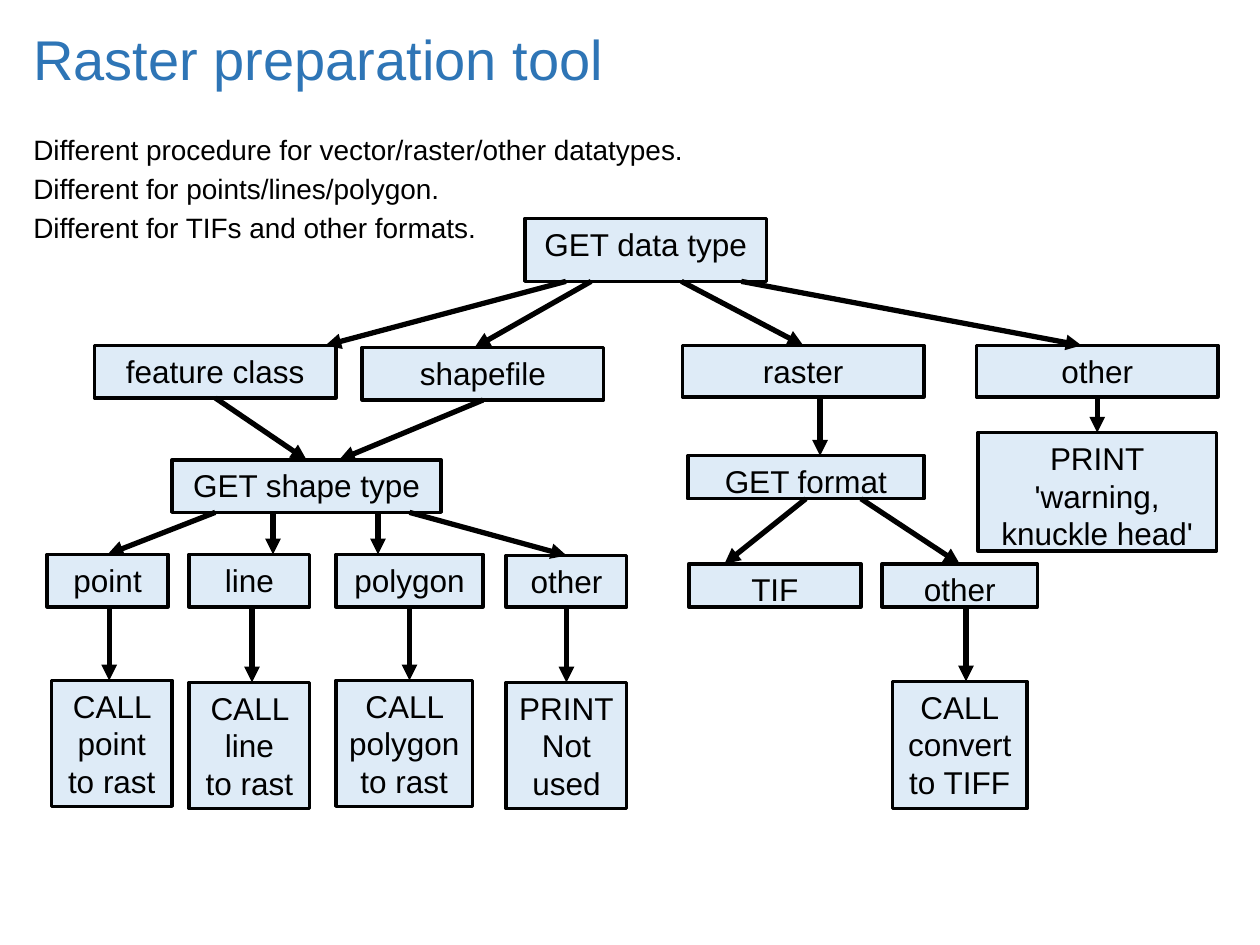
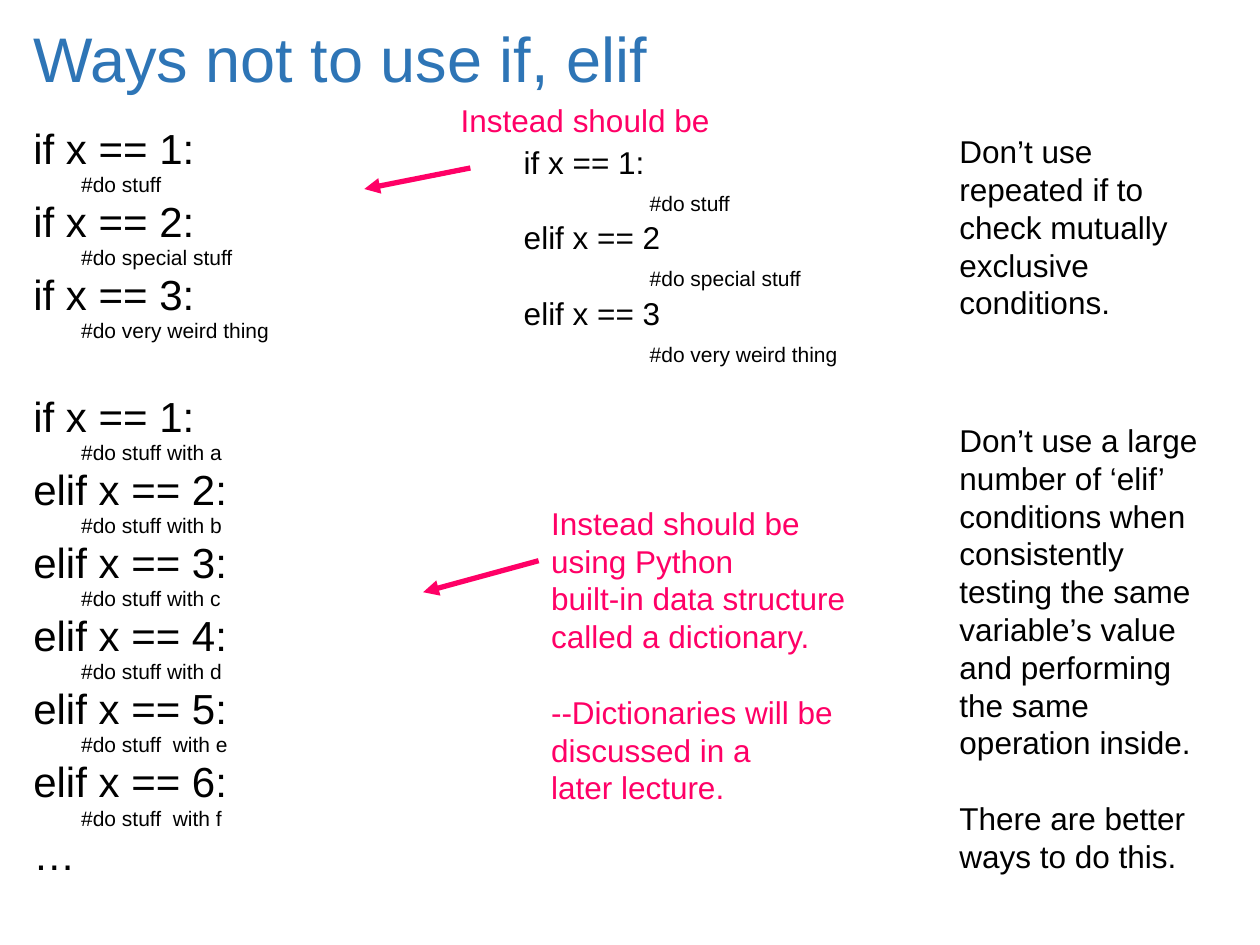
from pptx import Presentation
from pptx.dml.color import RGBColor
from pptx.enum.shapes import MSO_CONNECTOR as LINE, MSO_SHAPE as SHAPE
from pptx.enum.text import MSO_ANCHOR as ANCHOR, PP_ALIGN as ALIGN
from pptx.oxml.ns import qn
from pptx.util import Inches, Pt
from lxml.etree import SubElement

COLORS = {"title": "2E75B6", "ink": "000000", "box": "DEEBF7", "fix": "FF0066"}
FONT = "Arial"
CELL = Inches(1) / 12        # grid of 120 columns by 90 rows
BOTTOM, TOP = 2, 0           # connection sites of a rectangle
BODY = (2, 12, 114, 71)
BODY_GAP = 0.2               # space before a body line, as a share of its size
BLANK_LINE = 21.6            # points, one line of 18 pt text

# name: (text, column, row, columns wide, rows high)
BOXES = {
    "data type": ("GET data type", 50, 20.8, 23, 6),
    "feature class": ("feature class", 9, 32.9, 23, 5),
    "shapefile": ("shapefile", 34.5, 33.1, 23, 5),
    "raster": ("raster", 65, 32.9, 23, 4.9),
    "other type": ("other", 93, 32.9, 23, 4.9),
    "shape type": ("GET shape type", 16.4, 43.8, 25.6, 5),
    "format": ("GET format", 65.5, 43.4, 22.5, 4.1),
    "warning": ("PRINT\n'warning, knuckle head'", 93.15, 41.2, 22.7, 11.3),
    "point": ("point", 4.5, 52.8, 11.5, 5),
    "line": ("line", 18, 52.8, 11.5, 5),
    "polygon": ("polygon", 32, 52.8, 14, 5),
    "other shape": ("other", 48.2, 52.9, 11.5, 4.9),
    "TIF": ("TIF", 65.6, 53.7, 16.4, 4.1),
    "other format": ("other", 84, 53.7, 14.8, 4.1),
    "call point": ("CALL point\nto rast", 4.9, 64.8, 11.5, 12),
    "call line": ("CALL line\nto rast", 18, 65, 11.5, 12),
    "call polygon": ("CALL polygon\nto rast", 32, 64.8, 13, 12),
    "not used": ("PRINT\nNot used", 48.2, 65, 11.5, 12),
    "convert": ("CALL\nconvert to TIFF", 85, 64.9, 12.8, 12.1),
}

# (parent, child, start column, end column); None joins the middle of the side
FLOWS = [
    ("data type", "feature class", 53.9, 31),
    ("data type", "shapefile", 56.3, 45.2),
    ("data type", "raster", 64.9, None),
    ("data type", "other type", 70.6, 103),
    ("feature class", "shape type", None, None),
    ("shapefile", "shape type", None, 32.3),
    ("raster", "format", 78.1, 78.1),
    ("other type", "warning", None, None),
    ("shape type", "point", 20.5, None),
    ("shape type", "line", 26, 26),
    ("shape type", "polygon", 36, 36),
    ("shape type", "other shape", 39, None),
    ("format", "TIF", None, 69),
    ("format", "other format", 82, None),
    ("point", "call point", 10.4, 10.4),
    ("line", "call line", 24, 24),
    ("polygon", "call polygon", 39, 39),
    ("other shape", "not used", None, None),
    ("other format", "convert", 92, 92),
]


def grid(*cells):
    return [round(n * CELL) for n in cells]


def rgb(name):
    return RGBColor.from_string(COLORS[name])


def add_line(tf, text, size=18, color="ink", align=ALIGN.LEFT,
             before=0, spacing=None, indent=0):
    """Append a paragraph; the first one fills the empty frame."""
    p = tf.paragraphs[0] if not tf.text else tf.add_paragraph()
    p.alignment = align
    p.space_before = Pt(before)
    if spacing:
        p.line_spacing = spacing
    if indent:
        p._p.get_or_add_pPr().set("marL", str(Inches(indent)))
    r = p.add_run()
    r.text = text
    r.font.name, r.font.size = FONT, Pt(size)
    r.font.color.rgb = rgb(color)


def add_text(slide, area, text="", **fmt):
    tf = slide.shapes.add_textbox(*grid(*area)).text_frame
    tf.word_wrap = True
    for line in text.splitlines():
        add_line(tf, line, **fmt)
    return tf


def add_title(slide, text, size):
    tf = add_text(slide, (2, 2.5, 105, 6), text, size=size, color="title")
    tf.vertical_anchor = ANCHOR.MIDDLE


def add_box(slide, text, *area):
    sp = slide.shapes.add_shape(SHAPE.RECTANGLE, *grid(*area))
    sp.shadow.inherit = False
    sp.fill.solid()
    sp.fill.fore_color.rgb = rgb("box")
    sp.line.color.rgb, sp.line.width = rgb("ink"), Pt(2)
    tf = sp.text_frame
    tf.word_wrap, tf.vertical_anchor = True, ANCHOR.TOP
    for line in text.splitlines():
        add_line(tf, line, align=ALIGN.CENTER)
    return sp


def add_arrow(slide, ends, color="ink"):
    line = slide.shapes.add_connector(LINE.STRAIGHT, *ends)
    line.line.color.rgb, line.line.width = rgb(color), Pt(3)
    SubElement(line.line._get_or_add_ln(), qn("a:tailEnd"), type="triangle")
    SubElement(line._element.spPr, qn("a:effectLst"))
    return line


def join_boxes(slide, parent, child, start, end):
    x1, x2 = (0 if col is None else round(col * CELL) for col in (start, end))
    line = add_arrow(slide, (x1, parent.top + parent.height, x2, child.top))
    if start is None:
        line.begin_connect(parent, BOTTOM)
    if end is None:
        line.end_connect(child, TOP)


def add_branches(tf, branches, gap=0):
    """Large condition lines, each with a small indented comment."""
    for i, (condition, comment) in enumerate(branches):
        extra = gap if i == 0 else 0
        add_line(tf, condition, size=24, before=24 * BODY_GAP + extra, spacing=0.8)
        add_line(tf, comment, size=12, before=12 * BODY_GAP, spacing=0.8, indent=0.38)


def raster_tool_slide(slide):
    add_title(slide, "Raster preparation tool", 32)
    add_text(slide, BODY,
             "Different procedure for vector/raster/other datatypes.\n"
             "Different for points/lines/polygon.\n"
             "Different for TIFs and other formats.", size=16, before=16 * BODY_GAP)
    boxes = {name: add_box(slide, *box) for name, box in BOXES.items()}
    for parent, child, start, end in FLOWS:
        join_boxes(slide, boxes[parent], boxes[child], start, end)


def elif_slide(slide):
    add_title(slide, "Ways not to use if, elif", 36)

    # Code to avoid
    tasks = ["#do stuff", "#do special stuff", "#do very weird thing"]
    tf = add_text(slide, BODY)
    add_branches(tf, [(f"if x == {n}:", task) for n, task in enumerate(tasks, 1)])
    endings = ["with a", "with b", "with c", "with d", " with e", " with f"]
    add_branches(tf, [(f"{'if' if n == 1 else 'elif'} x == {n}:", f"#do stuff {ending}")
                      for n, ending in enumerate(endings, 1)], gap=27.8)
    add_line(tf, "…", size=24, before=24 * BODY_GAP, spacing=0.8)

    # Better code
    add_text(slide, (42.7, 9, 32, 4.8), "Instead should be", color="fix")
    tf = add_text(slide, (48.7, 13, 32.5, 26.6))
    for condition, task in zip(["if x == 1:", "elif x == 2", "elif x == 3"], tasks):
        add_line(tf, condition, spacing=Pt(BLANK_LINE if condition[0] == "i" else 23.2))
        add_line(tf, task, size=12, spacing=Pt(20), indent=1)
    tf = add_text(slide, (51.3, 47.4, 33, 30.2),
                  "Instead should be\nusing Python\nbuilt-in data structure\n"
                  "called a dictionary.", color="fix")
    add_line(tf, "--Dictionaries will be", color="fix", before=BLANK_LINE)
    add_line(tf, "discussed in a", color="fix")
    add_line(tf, "later lecture.", color="fix")
    for ends in [(44.8, 16, 34.7, 18), (51.3, 53.4, 40.3, 56.4)]:
        add_arrow(slide, grid(*ends), "fix")

    # Advice column
    add_text(slide, (90.2, 12, 26, 19.4),
             "Don’t use repeated if to check mutually exclusive conditions.")
    tf = add_text(slide, (90.2, 39.5, 26, 44.9),
                  "Don’t use a large number of ‘elif’ conditions when consistently "
                  "testing the same variable’s value and performing the same "
                  "operation inside.")
    add_line(tf, "There are better ways to do this.", before=BLANK_LINE)


def main():
    prs = Presentation()
    prs.slide_width, prs.slide_height = grid(120, 90)
    for build in (raster_tool_slide, elif_slide):
        build(prs.slides.add_slide(prs.slide_layouts[6]))
    prs.save("out.pptx")


if __name__ == "__main__":
    main()
